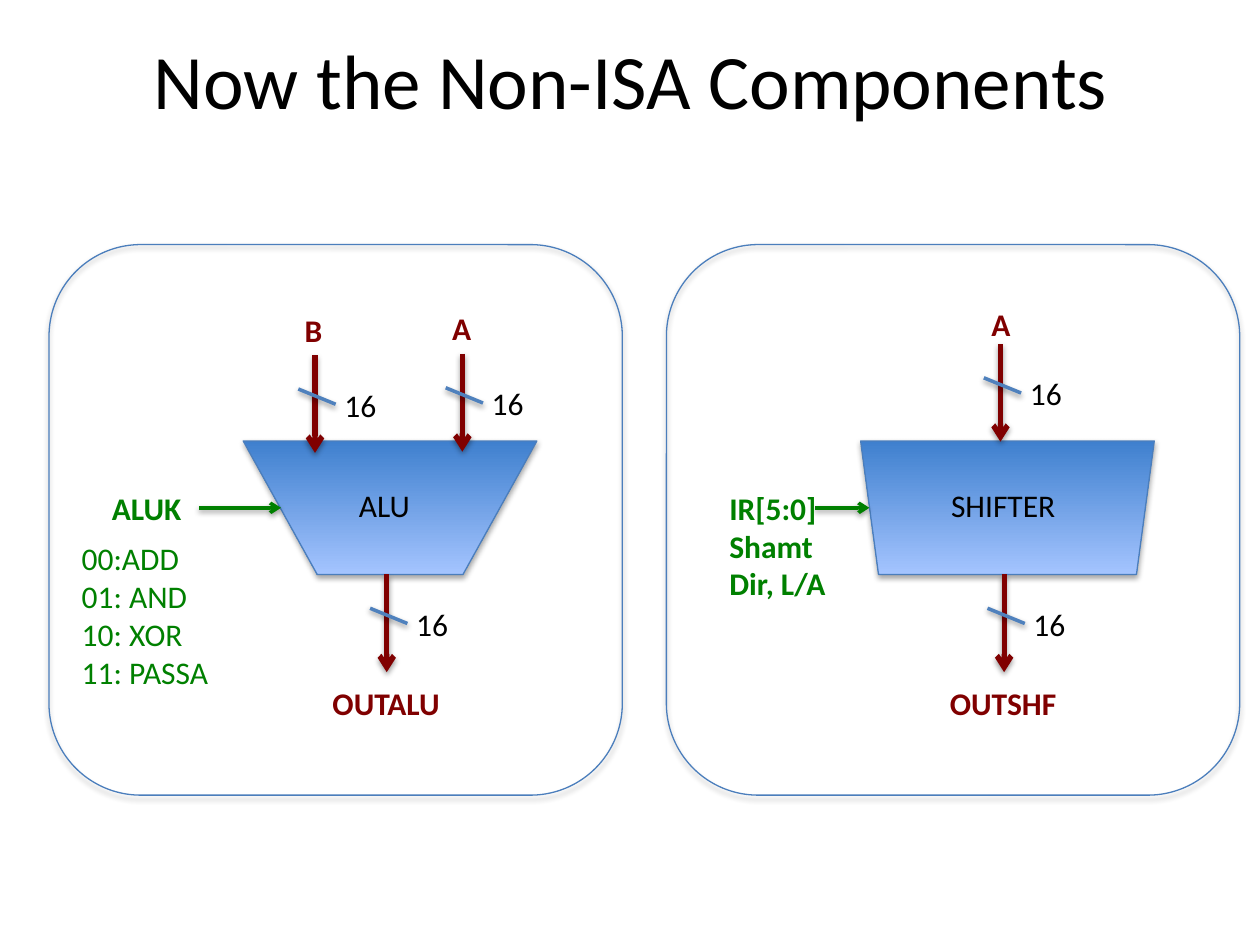
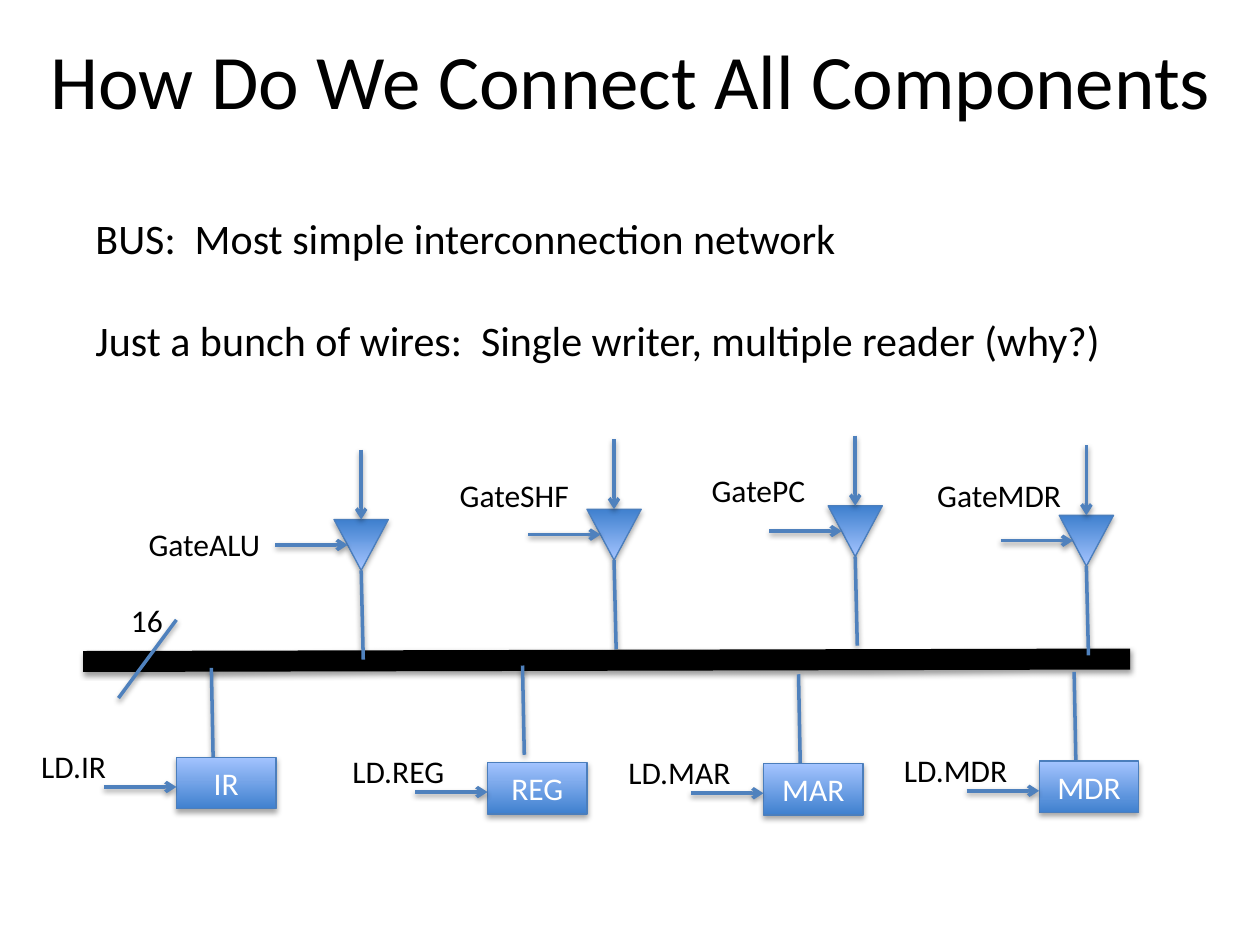
import dataclasses

import lxml.etree
import pptx
import pptx.dml.color
import pptx.enum.shapes
import pptx.enum.text
import pptx.oxml.ns
import pptx.util

Pt = pptx.util.Pt
RGB = pptx.dml.color.RGBColor.from_string
SHAPE = pptx.enum.shapes.MSO_SHAPE


@dataclasses.dataclass(frozen=True)
class Theme:
    font: str = "Calibri"
    black: str = "000000"
    white: str = "FFFFFF"
    data: str = "800000"
    control: str = "008000"
    wire: str = "4F81BD"
    outline: str = "4B7EBC"
    gradient: tuple = ("3F80CE", "A4C4FF")
    title_size: int = 44
    body_size: int = 24
    label_size: int = 18


theme = Theme()


def write(slide, lines, left, top, width, color=theme.black, bold=False,
          size=theme.label_size, wrap=False, gap=0):
    height = 1.22 * size * len(lines) + gap * (len(lines) - 1) + 7.2
    box = slide.shapes.add_textbox(Pt(left), Pt(top), Pt(width), Pt(height))
    frame = box.text_frame
    frame.word_wrap = wrap
    frame.auto_size = pptx.enum.text.MSO_AUTO_SIZE.SHAPE_TO_FIT_TEXT
    frame.text = "\n".join(lines)
    for index, paragraph in enumerate(frame.paragraphs):
        font = paragraph.font
        font.name, font.size, font.bold = theme.font, Pt(size), bold
        font.color.rgb = RGB(color)
        if gap and index:
            paragraph.space_before = Pt(gap)


def connect(slide, x1, y1, x2, y2, color=theme.wire, width=2, arrow=False):
    line = slide.shapes.add_connector(
        pptx.enum.shapes.MSO_CONNECTOR.STRAIGHT, Pt(x1), Pt(y1), Pt(x2), Pt(y2)).line
    line.color.rgb = RGB(color)
    line.width = Pt(width)
    if arrow:
        lxml.etree.SubElement(line.fill._xPr, pptx.oxml.ns.qn("a:tailEnd"), type="arrow")


deck = pptx.Presentation()
deck.slide_width, deck.slide_height = Pt(720), Pt(540)

slides = []
for heading in ("Now the Non-ISA Components", "How Do We Connect All Components"):
    slide = deck.slides.add_slide(deck.slide_layouts[5])
    title = slide.shapes.title
    title.left, title.top, title.width, title.height = Pt(18.7), Pt(0), Pt(684), Pt(90)
    title.text = heading
    title.text_frame.vertical_anchor = pptx.enum.text.MSO_ANCHOR.MIDDLE
    paragraph = title.text_frame.paragraphs[0]
    paragraph.alignment = pptx.enum.text.PP_ALIGN.CENTER
    paragraph.font.name, paragraph.font.size = theme.font, Pt(theme.title_size)
    paragraph.font.color.rgb = RGB(theme.black)
    slides.append(slide)
components, bus = slides
gradient_parts = []
outlined_parts = []

panel_pitch = 352.8
units = [("ALU", 0.554, 198, 44.6), ("SHIFTER", 0.134, 536.4, 74.9)]
for index, (name, taper, name_left, name_width) in enumerate(units):
    offset = index * panel_pitch
    unit = components.shapes.add_shape(
        SHAPE.TRAPEZOID, Pt(139 + offset), Pt(252), Pt(167.8), Pt(76.3))
    unit.rotation = 180
    unit.adjustments[0] = taper
    gradient_parts.append(unit)
    write(components, [name], name_left, 274.3, name_width)
    panel = components.shapes.add_shape(
        SHAPE.ROUNDED_RECTANGLE, Pt(28 + offset), Pt(139.8), Pt(327.6), Pt(314.6))
    panel.fill.background()
    outlined_parts.append(panel)

data_wires = [
    ("B", 180, 203, 167, 174.2, 24.5),
    ("A", 264.2, 202.3, 251.3, 172.8, 25.9),
    ("OUTALU", 221, 328.3, 182.9, 387.4, 78.5),
    ("A", 571.7, 196.6, 559.4, 170.6, 25.9),
    ("OUTSHF", 573.8, 328.3, 535.7, 387.4, 76.3),
]
for name, x, y, name_left, name_top, name_width in data_wires:
    connect(components, x, y, x, y + 55.8, theme.data, 3, arrow=True)
    connect(components, x - 9.5, y + 19.3, x + 11.8, y + 28)
    write(components, ["16"], x + 9.7, y + 13.8, 33.1)
    write(components, [name], name_left, name_top, name_width, theme.data, bold=True)

for start, end in ((113.8, 160.6), (465.8, 496.8)):
    connect(components, start, 290.2, end, 290.2, theme.control, arrow=True)
write(components, ["ALUK"], 56.9, 275.8, 54.7, theme.control, bold=True)
write(components, ["00:ADD", "01: AND", "10: XOR", "11: PASSA"],
      39.6, 304.6, 89.3, theme.control)
write(components, ["IR[5:0]", "Shamt", "Dir, L/A"], 409.7, 275.8, 72, theme.control, bold=True)

write(bus, ["BUS:  Most simple interconnection network",
            "Just a bunch of wires:  Single writer, multiple reader (why?)"],
      47.5, 118.1, 635.8, size=theme.body_size, wrap=True, gap=29)
connect(bus, 47.5, 378, 645.8, 376.6, theme.black, 12)
connect(bus, 100.8, 354.2, 67.7, 398.9)
write(bus, ["16"], 67.7, 339.8, 33.1)

gates = [
    ("GateALU", 206.4, 296.9, 77.8, 296.6, 79.9),
    ("GateSHF", 350.9, 291, 255.6, 268.6, 77.8),
    ("GatePC", 488.7, 289, 399.6, 265.7, 69.1),
    ("GateMDR", 620.8, 294.5, 528.5, 268.6, 86.4),
]
for name, x, y, name_left, name_top, name_width in gates:
    gate = bus.shapes.add_shape(SHAPE.ISOSCELES_TRIANGLE, Pt(x - 15.5), Pt(y), Pt(31), Pt(29))
    gate.rotation = 180
    gradient_parts.append(gate)
    connect(bus, x, y + 29, x + 1.2, y + 80)
    connect(bus, x - 49, y + 14.5, x - 7.7, y + 14.5, arrow=True)
    connect(bus, x, y - 40, x, y, arrow=True)
    write(bus, [name], name_left, name_top, name_width)

registers = [
    ("IR", 100.8, 432.7, 0, 52.6),
    ("REG", 278.6, 435.6, 4.3, 68.4),
    ("MAR", 436.3, 436.3, 0, 74.2),
    ("MDR", 593.8, 434.9, 0, 74.9),
]
for name, left, top, stem_gap, load_width in registers:
    stem_end = top - stem_gap
    connect(bus, left + 20, stem_end - 51, left + 21, stem_end)
    register = bus.shapes.add_shape(SHAPE.RECTANGLE, Pt(left), Pt(top), Pt(56.9), Pt(29.5))
    register.text_frame.text = name
    register.text_frame.vertical_anchor = pptx.enum.text.MSO_ANCHOR.MIDDLE
    paragraph = register.text_frame.paragraphs[0]
    paragraph.alignment = pptx.enum.text.PP_ALIGN.CENTER
    paragraph.font.name, paragraph.font.size = theme.font, Pt(theme.label_size)
    paragraph.font.color.rgb = RGB(theme.white)
    gradient_parts.append(register)
    connect(bus, left - 41.4, top + 17, left, top + 17, arrow=True)
    write(bus, [f"LD.{name}"], left - 84.3, top - 9.4, load_width)

for part in gradient_parts:
    part.fill.gradient()
    part.fill.gradient_angle = 90
    for stop, color in zip(part.fill.gradient_stops, theme.gradient):
        stop.color.rgb = RGB(color)

for part in gradient_parts + outlined_parts:
    part.line.color.rgb = RGB(theme.outline)
    part.line.width = Pt(0.75)

deck.save("out.pptx")
